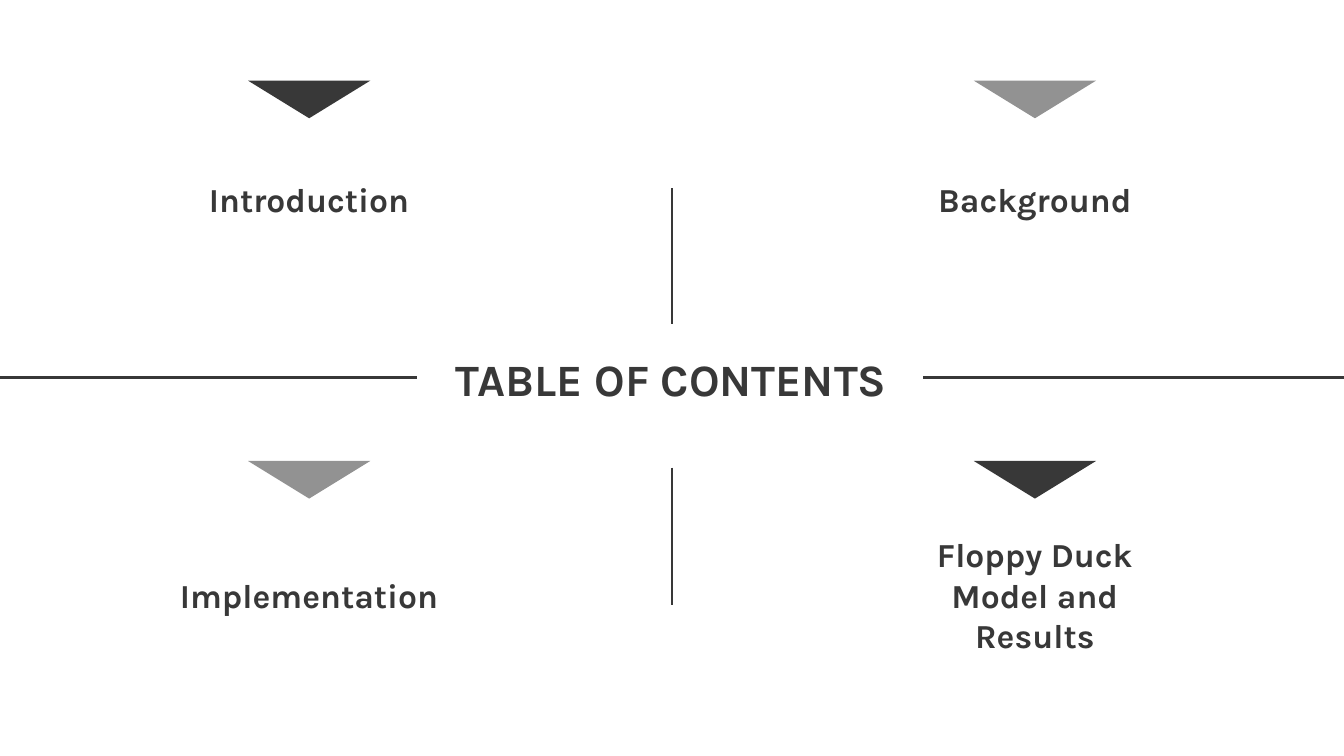
from lxml.etree import SubElement
from pptx import Presentation
from pptx.dml.color import RGBColor
from pptx.enum.shapes import MSO_CONNECTOR, MSO_SHAPE
from pptx.enum.text import MSO_ANCHOR, MSO_AUTO_SIZE, PP_ALIGN
from pptx.oxml.ns import qn
from pptx.util import Inches, Pt

DARK = RGBColor(0x38, 0x38, 0x38)
GRAY = RGBColor(0x92, 0x92, 0x92)
FONT = "Karla"

TITLE = "TABLE OF CONTENTS"
# text, column, row, label width, marker colour
SECTIONS = [
    ("Introduction", 0, 0, 2.14, DARK),
    ("Implementation", 0, 1, 2.55, GRAY),
    ("Background", 1, 0, 2.65, GRAY),
    ("Floppy Duck Model and Results", 1, 1, 2.14, DARK),
]
COLUMN_CENTERS = (2.3, 7.7)
MARKER_TOPS = (0.6, 3.43)
LABEL_TOPS = (1.3, 4.24)
MARKER_WIDTH, MARKER_HEIGHT = 0.91, 0.28
LABEL_HEIGHT = 0.37
# start x, start y, end x, end y
DIVIDERS = [
    (0, 2.81, 3.1, 2.81),
    (6.87, 2.81, 10, 2.81),
    (5, 3.48, 5, 4.5),
    (5, 1.4, 5, 2.41),
]


def write_text(box, text, size, anchor):
    frame = box.text_frame
    frame.word_wrap = True
    frame.auto_size = MSO_AUTO_SIZE.NONE
    frame.vertical_anchor = anchor
    frame.margin_left = frame.margin_right = Inches(0.1)
    frame.margin_top = frame.margin_bottom = Inches(0.1)
    para = frame.paragraphs[0]
    para.alignment = PP_ALIGN.CENTER
    para.space_before = Pt(0)
    span = para.add_run()
    span.text = text
    span.font.name = FONT
    span.font.size = Pt(size)
    span.font.bold = True
    span.font.color.rgb = DARK


def add_section(page, text, column, row, width, color):
    center = COLUMN_CENTERS[column]
    label = page.shapes.add_textbox(
        Inches(center - width / 2), Inches(LABEL_TOPS[row]),
        Inches(width), Inches(LABEL_HEIGHT))
    write_text(label, text, 18, MSO_ANCHOR.MIDDLE)

    marker = page.shapes.add_shape(
        MSO_SHAPE.ISOSCELES_TRIANGLE,
        Inches(center - MARKER_WIDTH / 2), Inches(MARKER_TOPS[row]),
        Inches(MARKER_WIDTH), Inches(MARKER_HEIGHT))
    marker.rotation = 180
    marker.shadow.inherit = False
    marker.fill.solid()
    marker.fill.fore_color.rgb = color
    marker.line.fill.background()


def add_divider(page, ends):
    divider = page.shapes.add_connector(
        MSO_CONNECTOR.STRAIGHT, *(Inches(value) for value in ends))
    divider.line.color.rgb = DARK
    divider.line.width = Pt(1.5)
    SubElement(divider._element.spPr, qn("a:effectLst"))


def main():
    deck = Presentation()
    deck.slide_width = Inches(10)
    deck.slide_height = Inches(10 * 9 / 16)
    page = deck.slides.add_slide(deck.slide_layouts[5])

    title = page.shapes.title
    title.left, title.top = Inches(1.51), Inches(2.52)
    title.width, title.height = Inches(6.97), Inches(0.58)
    write_text(title, TITLE, 24, MSO_ANCHOR.TOP)

    for section in SECTIONS:
        add_section(page, *section)
    for ends in DIVIDERS:
        add_divider(page, ends)
    deck.save("out.pptx")


if __name__ == "__main__":
    main()
